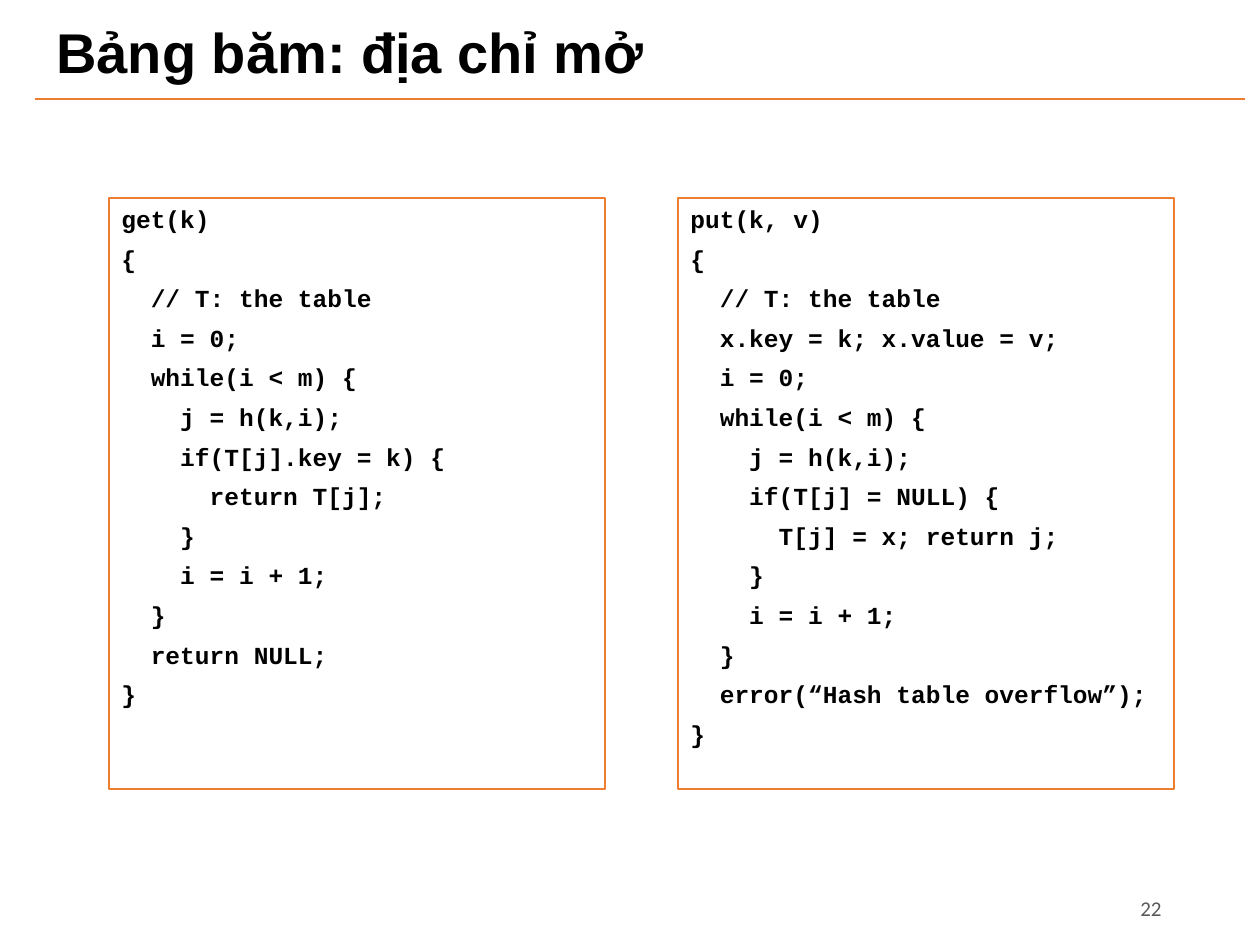
from typing import NamedTuple

from lxml.etree import SubElement
from pptx import Presentation
from pptx.dml.color import RGBColor
from pptx.enum.shapes import MSO_CONNECTOR, MSO_SHAPE
from pptx.enum.text import MSO_ANCHOR, PP_ALIGN
from pptx.oxml.ns import qn
from pptx.slide import Slide
from pptx.text.text import TextFrame
from pptx.util import Emu, Pt

PX_PER_INCH = 126
COLORS = {"text": "000000", "number": "595959", "accent": "ED7D31"}
TITLE_FONT = {"name": "Arial", "size": Pt(32), "bold": True}
NUMBER_FONT = {"name": "Calibri", "size": Pt(12), "bold": False}
CODE_FONT = {"name": "Courier New", "size": Pt(14), "bold": True}

GET_CODE = """get(k)
{
  // T: the table
  i = 0;
  while(i < m) {
    j = h(k,i);
    if(T[j].key = k) {
      return T[j];
    }
    i = i + 1;
  }
  return NULL;
}"""

PUT_CODE = """put(k, v)
{
  // T: the table
  x.key = k; x.value = v;
  i = 0;
  while(i < m) {
    j = h(k,i);
    if(T[j] = NULL) {
      T[j] = x; return j;
    }
    i = i + 1;
  }
  error(“Hash table overflow”);
}"""


class Box(NamedTuple):
    left: int
    top: int
    width: int
    height: int


class CodePanel(NamedTuple):
    box: Box
    code: str


def px(n: int) -> Emu:
    return Emu(round(n * 914400 / PX_PER_INCH))


def color(name: str) -> RGBColor:
    return RGBColor.from_string(COLORS[name])


def write(tf: TextFrame, text: str, font: dict, ink: str, para: dict, gap: float = 0) -> None:
    tf.word_wrap = True
    for i, line in enumerate(text.split("\n")):
        p = tf.paragraphs[0] if i == 0 else tf.add_paragraph()
        for name, value in para.items():
            setattr(p, name, value)
        if i:
            p.space_before = Pt(gap)
        r = p.add_run()
        r.text = line
        for name, value in font.items():
            setattr(r.font, name, value)
        r.font.color.rgb = color(ink)


def add_label(s: Slide, box: Box, text: str, font: dict, ink: str, para: dict) -> None:
    tf = s.shapes.add_textbox(*map(px, box)).text_frame
    tf.vertical_anchor = MSO_ANCHOR.MIDDLE
    write(tf, text, font, ink, para)


def add_panel(s: Slide, panel: CodePanel) -> None:
    sp = s.shapes.add_shape(MSO_SHAPE.RECTANGLE, *map(px, panel.box))
    sp.shadow.inherit = False
    sp.fill.background()
    sp.line.color.rgb = color("accent")
    sp.line.width = Pt(0.75)
    tf = sp.text_frame
    tf.vertical_anchor = MSO_ANCHOR.TOP
    write(tf, panel.code, CODE_FONT, "text", {"alignment": PP_ALIGN.LEFT}, gap=5.8)


def add_rule(s: Slide, left: int, right: int, y: int) -> None:
    ln = s.shapes.add_connector(MSO_CONNECTOR.STRAIGHT, px(left), px(y), px(right), px(y))
    ln.line.color.rgb = color("accent")
    ln.line.width = Pt(0.75)
    SubElement(ln._element.spPr, qn("a:effectLst"))


def main() -> None:
    prs = Presentation()
    prs.slide_width, prs.slide_height = px(1260), px(945)
    s = prs.slides.add_slide(prs.slide_layouts[6])
    add_label(s, Box(44, 16, 1153, 79), "Bảng băm: địa chỉ mở", TITLE_FONT, "text",
              {"alignment": PP_ALIGN.LEFT, "line_spacing": 0.9})
    add_label(s, Box(1016, 883, 158, 50), "22", NUMBER_FONT, "number",
              {"alignment": PP_ALIGN.RIGHT})
    panels = [
        CodePanel(Box(678, 198, 496, 591), PUT_CODE),
        CodePanel(Box(109, 198, 496, 591), GET_CODE),
    ]
    for panel in panels:
        add_panel(s, panel)
    add_rule(s, 35, 1245, 99)
    prs.save("out.pptx")


if __name__ == "__main__":
    main()
